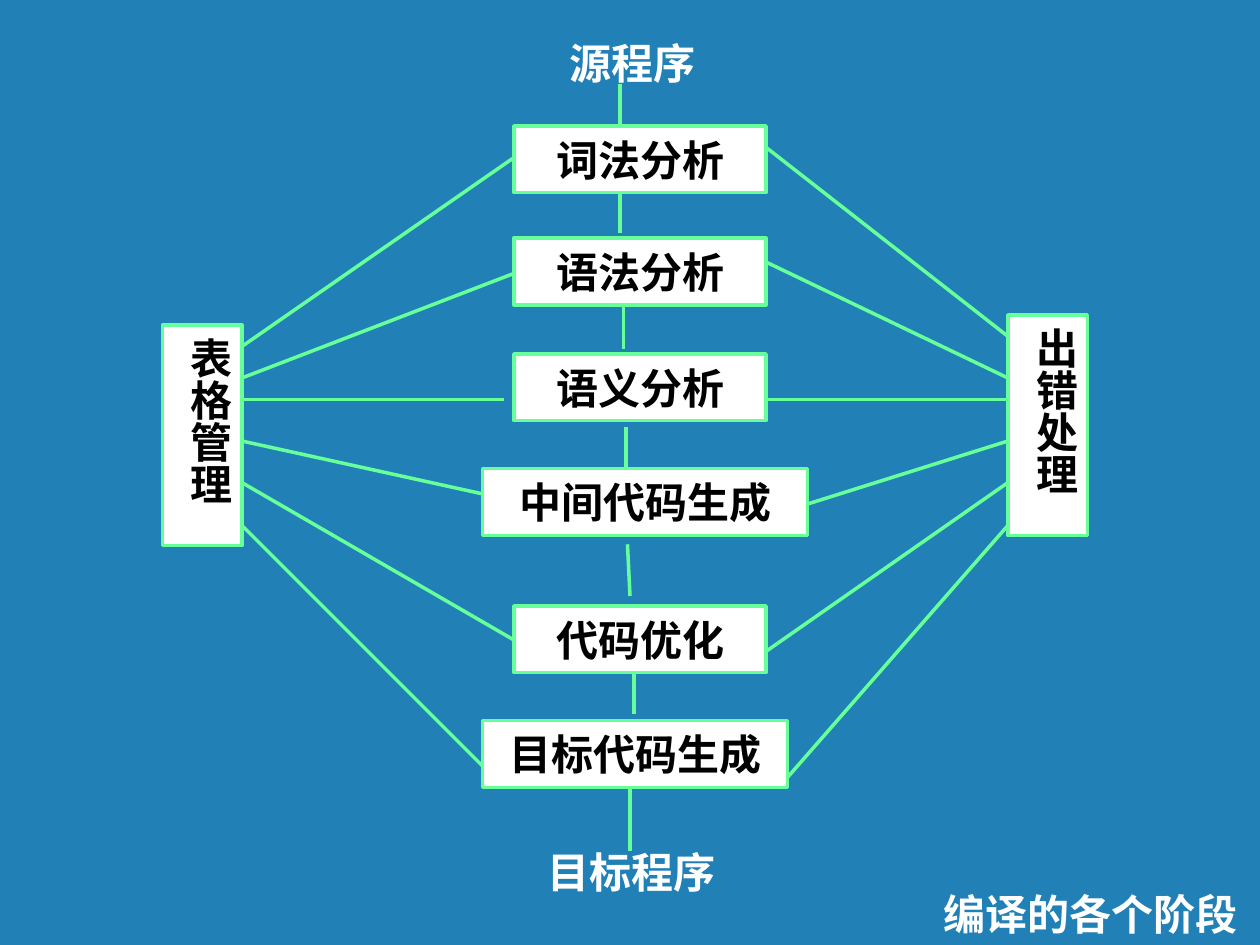
from dataclasses import dataclass

from pptx import Presentation
from pptx import util as u
from pptx.dml.color import RGBColor
from pptx.enum import shapes, text
from pptx.oxml import parse_xml
from pptx.oxml.ns import nsdecls


@dataclass(frozen=True)
class Theme:
    back: RGBColor = RGBColor.from_string("2181B7")
    line: RGBColor = RGBColor.from_string("66FF99")
    white: RGBColor = RGBColor.from_string("FFFFFF")
    black: RGBColor = RGBColor.from_string("000000")
    font: str = "Times New Roman"
    size: int = 24
    width: int = 2


T = Theme()
ALIGN = text.PP_ALIGN
ANCHOR = text.MSO_ANCHOR

# Name, left, top, width, then link heights at the stage's left and right
STAGES = [
    ("词法分析", 2.79, 0.75, 2, 1, 0.92),
    ("语法分析", 2.79, 1.64, 2, 1.92, 1.83),
    ("语义分析", 2.79, 2.56, 2, 2.92, 2.92),
    ("中间代码生成", 2.54, 3.47, 2.58, 3.67, 3.75),
    ("代码优化", 2.79, 4.56, 2, 4.83, 4.92),
    ("目标代码生成", 2.54, 5.47, 2.42, 5.83, 5.92),
]
# Start x, start y, end x, end y of each step down the flow
STEPS = [
    (3.63, 0.42, 3.63, 0.75),
    (3.63, 1.27, 3.63, 1.6),
    (3.66, 2.18, 3.66, 2.52),
    (3.68, 3.14, 3.68, 3.47),
    (3.69, 4.07, 3.71, 4.48),
    (3.74, 5.08, 3.74, 5.42),
    (3.71, 6, 3.71, 6.5),
]
# Link heights on the side panels
LEFT = [2.5, 2.75, 2.92, 3.25, 3.58, 3.92]
RIGHT = [2.42] + LEFT[1:]


def write(shape, words, color=T.white, align=ALIGN.LEFT, anchor=ANCHOR.MIDDLE):
    frame = shape.text_frame
    frame.word_wrap = True
    frame.vertical_anchor = anchor
    para = frame.paragraphs[0]
    para.text = words
    para.alignment = align
    font = para.font
    font.name, font.size, font.bold = T.font, u.Pt(T.size), True
    font.color.rgb = color


def place(x, y, w, h):
    return [u.Inches(n) for n in (x, y, w, h)]


def label(slide, box, words, **form):
    write(slide.shapes.add_textbox(*place(*box)), words, **form)


def block(slide, box, words, **form):
    shape = slide.shapes.add_shape(shapes.MSO_SHAPE.RECTANGLE, *place(*box))
    shape.shadow.inherit = False
    shape.fill.solid()
    shape.fill.fore_color.rgb = T.white
    shape.line.color.rgb = T.line
    shape.line.width = u.Pt(T.width)
    write(shape, words, color=T.black, **form)
    return shape


def panel(slide, box, words):
    """Side panel whose text runs downward."""
    shape = block(slide, box, words, anchor=ANCHOR.TOP)
    shape.text_frame._txBody.bodyPr.set("vert", "eaVert")


def link(slide, x1, y1, x2, y2):
    line = slide.shapes.add_connector(
        shapes.MSO_CONNECTOR.STRAIGHT, *place(x1, y1, x2, y2))
    line.line.color.rgb = T.line
    line.line.width = u.Pt(T.width)
    line._element.spPr.append(parse_xml(f"<a:effectLst {nsdecls('a')}/>"))


def flow(slide, box):
    """Source to target down the middle, with a step between stages."""
    x, y = box[:2]
    label(slide, (x + 3.13, y, 1.25, 0.5), "源程序")
    label(slide, (x + 2.96, y + 6.42, 1.75, 0.5), "目标程序")
    for name, left, top, width, *_ in STAGES:
        block(slide, (x + left, y + top, width, 0.53), name, align=ALIGN.CENTER)
    for x1, y1, x2, y2 in STEPS:
        link(slide, x + x1, y + y1, x + x2, y + y2)


def sides(slide, box):
    """Panels at both edges, each linked to every stage."""
    x, y, w, _ = box
    wide, high = 0.63, 1.75
    panel(slide, (x, y + 2.33, wide, high), "表格管理")
    panel(slide, (x + w - wide, y + 2.25, wide, high), "出错处理")
    for stage, near, far in zip(STAGES, LEFT, RIGHT):
        name, left, _, width, ly, ry = stage
        gap = 0.08 if name == "语义分析" else 0
        link(slide, x + wide, y + near, x + left - gap, y + ly)
        link(slide, x + left + width, y + ry, x + w - wide, y + far)


def main():
    deck = Presentation()
    deck.slide_width, deck.slide_height = u.Inches(10), u.Inches(7.5)
    slide = deck.slides.add_slide(deck.slide_layouts[6])
    slide.background.fill.solid()
    slide.background.fill.fore_color.rgb = T.back

    # Compiler diagram
    box = (1.29, 0.25, 7.34, 6.92)
    flow(slide, box)
    sides(slide, box)

    # Title
    label(slide, (0.25, 7, 9.67, 0.5), "编译的各个阶段",
          align=ALIGN.RIGHT, anchor=ANCHOR.BOTTOM)
    deck.save("out.pptx")


if __name__ == "__main__":
    main()
